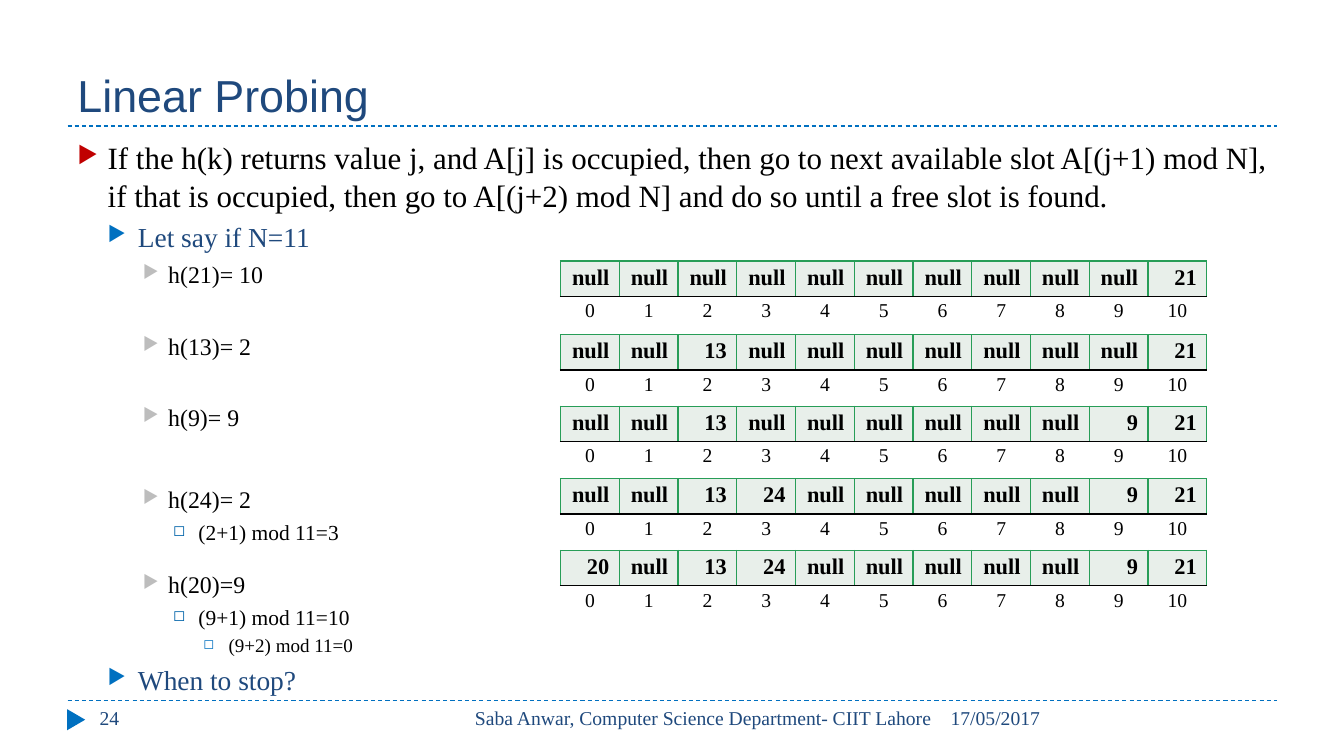
from dataclasses import dataclass
from typing import Optional

from lxml import etree
from pptx import Presentation
from pptx import util as u
from pptx.dml.color import RGBColor
from pptx.enum import dml, shapes, text
from pptx.oxml import ns

EMU_PER_PX = 9144  # 100 px to the inch
SERIF, SANS = "Times New Roman", "Arial"
NAVY, BLUE, BLACK, GREEN, PALE = "1F497D", "0070C0", "000000", "279D57", "E8EFEA"
LEFT, CENTER, RIGHT = text.PP_ALIGN.LEFT, text.PP_ALIGN.CENTER, text.PP_ALIGN.RIGHT


@dataclass
class Level:
    margin: int
    hang: int
    size: float
    color: str
    bullet: str
    bullet_color: str
    bullet_percent: int


@dataclass
class Point:
    words: str
    level: int
    before: float = 0


@dataclass
class Label:
    words: str
    left: int
    top: int
    width: int
    height: int
    size: int = 14
    font: str = SERIF
    align: text.PP_ALIGN = LEFT
    anchor: text.MSO_ANCHOR = text.MSO_ANCHOR.TOP


@dataclass
class ProbeTable:
    top: int
    filled: dict[int, int]


LEVELS = [
    Level(30, 30, 22.1, BLACK, "▶", "C00000", 76),
    Level(60, 30, 19.6, NAVY, "▶", BLUE, 76),
    Level(90, 25, 17, BLACK, "▶", "BDBDBD", 76),
    Level(120, 25, 15.3, BLACK, "◻", "0063A9", 70),
    Level(150, 25, 13.6, BLACK, "◻", BLUE, 70),
]
POINTS = [
    Point("If the h(k) returns value j, and A[j] is occupied, then go to next "
          "available slot A[(j+1) mod N], if that is occupied, then go to "
          "A[(j+2) mod N] and do so until a free slot is found.", 0),
    Point("Let say if N=11", 1, 5),
    Point("h(21)= 10", 2, 5),
    Point("h(13)= 2", 2, 30.5),
    Point("h(9)= 9", 2, 30.5),
    Point("h(24)= 2", 2, 38),
    Point("(2+1) mod 11=3", 3, 4),
    Point("h(20)=9", 2, 18),
    Point("(9+1) mod 11=10", 3, 4),
    Point("(9+2) mod 11=0", 4, 3),
    Point("When to stop?", 1, 5),
]
LABELS = [
    Label("Linear Probing", 67, 17, 1200, 108, 32, SANS,
          anchor=text.MSO_ANCHOR.BOTTOM),
    Label("17/05/2017", 933, 695, 334, 40),
    Label("Saba Anwar, Computer Science Department- CIIT Lahore",
          423, 695, 511, 40, align=RIGHT),
    Label("24", 89, 695, 289, 40),
]
SLOTS = 11
TABLES = [
    ProbeTable(259, {10: 21}),
    ProbeTable(332, {2: 13, 10: 21}),
    ProbeTable(403, {2: 13, 9: 9, 10: 21}),
    ProbeTable(475, {2: 13, 3: 24, 9: 9, 10: 21}),
    ProbeTable(546, {0: 20, 2: 13, 3: 24, 9: 9, 10: 21}),
]


def px(length: int) -> u.Emu:
    return u.Emu(length * EMU_PER_PX)


def color(value: str) -> RGBColor:
    return RGBColor.from_string(value)


def set_font(para, size: float, value: str, name: str = SERIF, bold: bool = False) -> None:
    para.font.size = u.Pt(size)
    para.font.name = name
    para.font.bold = bold
    para.font.color.rgb = color(value)


def add_box(page, left: int, top: int, width: int, height: int):
    frame = page.shapes.add_textbox(px(left), px(top), px(width), px(height)).text_frame
    frame.word_wrap = True
    return frame


def add_label(page, label: Label) -> None:
    frame = add_box(page, label.left, label.top, label.width, label.height)
    frame.vertical_anchor = label.anchor
    para = frame.paragraphs[0]
    para.text = label.words
    para.alignment = label.align
    set_font(para, label.size, NAVY, label.font)


def add_rule(page, y: int) -> None:
    rule = page.shapes.add_connector(shapes.MSO_CONNECTOR.STRAIGHT,
                                     px(67), px(y), px(1267), px(y))
    rule.line.color.rgb = color(BLUE)
    rule.line.width = u.Pt(0.75)
    rule.line.dash_style = dml.MSO_LINE.DASH
    etree.SubElement(rule._element.spPr, ns.qn("a:effectLst"))


def add_bullet(para, level: Level) -> None:
    props = para._p.get_or_add_pPr()
    props.set("marL", str(px(level.margin)))
    props.set("indent", str(-px(level.hang)))
    tint = etree.SubElement(props, ns.qn("a:buClr"))
    etree.SubElement(tint, ns.qn("a:srgbClr"), val=level.bullet_color)
    etree.SubElement(props, ns.qn("a:buSzPct"), val=str(level.bullet_percent * 1000))
    etree.SubElement(props, ns.qn("a:buChar"), char=level.bullet)


def add_points(page) -> None:
    frame = add_box(page, 67, 133, 1200, 540)
    frame.margin_right = 0
    for index, point in enumerate(POINTS):
        level = LEVELS[point.level]
        para = frame.add_paragraph() if index else frame.paragraphs[0]
        para.text = point.words
        para.level = point.level
        add_bullet(para, level)
        para.space_before = u.Pt(point.before)
        set_font(para, level.size, level.color)


def set_border(cell, side: str, value: Optional[str]) -> None:
    props = cell._tc.get_or_add_tcPr()
    edge = etree.SubElement(props, ns.qn(f"a:ln{side}"), w=str(u.Pt(1)))
    if value is None:
        etree.SubElement(edge, ns.qn("a:noFill"))
    else:
        fill = etree.SubElement(edge, ns.qn("a:solidFill"))
        etree.SubElement(fill, ns.qn("a:srgbClr"), val=value)


def fill_cell(cell, words: str, align: text.PP_ALIGN, size: int, bold: bool,
              borders: tuple[Optional[str], ...]) -> None:
    for side, value in zip("LRTB", borders):
        set_border(cell, side, value)
    cell.margin_top = cell.margin_bottom = px(4)
    para = cell.text_frame.paragraphs[0]
    para.text = words
    para.alignment = align
    set_font(para, size, BLACK, bold=bold)


def add_probe_table(page, probe: ProbeTable) -> None:
    table = page.shapes.add_table(2, SLOTS, px(556), px(probe.top), px(641), px(70)).table
    table.first_row = table.horz_banding = False
    for row in table.rows:
        row.height = px(35)
    for slot in range(SLOTS):
        table.columns[slot].width = u.Emu(px(641) // SLOTS)
        key, number = table.cell(0, slot), table.cell(1, slot)
        fill_cell(key, str(probe.filled.get(slot, "null")), RIGHT, 16, True,
                  (GREEN, GREEN, GREEN, BLACK))
        key.fill.solid()
        key.fill.fore_color.rgb = color(PALE)
        fill_cell(number, str(slot), CENTER, 14, False, (None, None, BLACK, None))
        number.fill.background()


def main() -> None:
    deck = Presentation()
    deck.slide_width, deck.slide_height = px(1333), px(750)
    page = deck.slides.add_slide(deck.slide_layouts[6])

    # Rules and page marker
    for y in (695, 125):
        add_rule(page, y)
    marker = page.shapes.add_shape(shapes.MSO_SHAPE.ISOSCELES_TRIANGLE,
                                   px(65), px(705), px(21), px(18))
    marker.rotation = 90
    marker.shadow.inherit = False
    marker.fill.solid()
    marker.fill.fore_color.rgb = color(BLUE)
    marker.line.fill.background()

    # Title, footer and body
    for label in LABELS:
        add_label(page, label)
    add_points(page)

    # Hash table after each insertion
    for probe in TABLES:
        add_probe_table(page, probe)
    deck.save("out.pptx")


if __name__ == "__main__":
    main()
